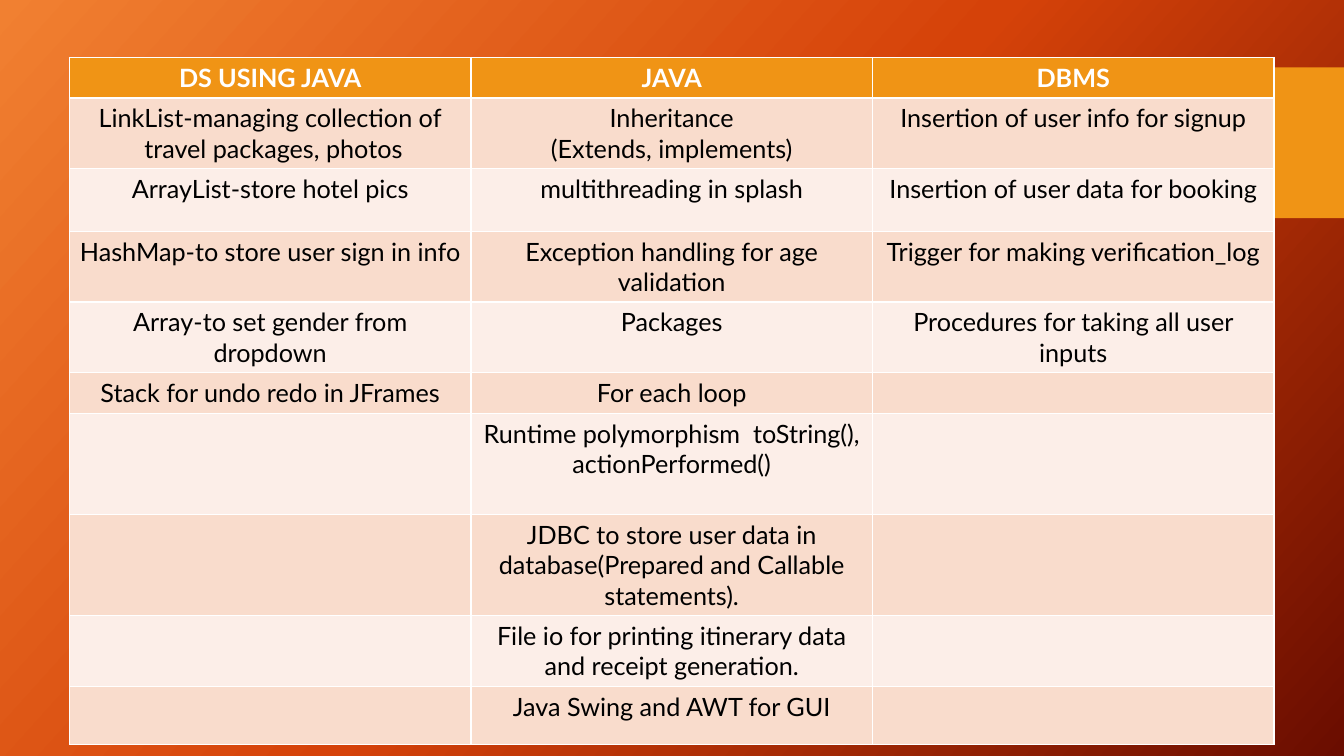
"""Builds a slide with a table of the concepts used per subject."""
import copy

import pptx
import pptx.dml.color
import pptx.enum.text
import pptx.oxml
import pptx.oxml.ns
import pptx.util
import pptx.enum.shapes

Cm = pptx.util.Cm
Pt = pptx.util.Pt
RGBColor = pptx.dml.color.RGBColor
qn = pptx.oxml.ns.qn

ORANGE = RGBColor(0xF0, 0x94, 0x15)
PEACH = RGBColor(0xF9, 0xDC, 0xCC)
CREAM = RGBColor(0xFC, 0xEE, 0xE8)
WHITE = RGBColor(0xFF, 0xFF, 0xFF)
BLACK = RGBColor(0x00, 0x00, 0x00)
BACKGROUND = [
    (0, RGBColor(0xF1, 0x80, 0x31)),
    (0.5, RGBColor(0xD5, 0x42, 0x09)),
    (1, RGBColor(0x6A, 0x0D, 0x00)),
]

HEADER_FONT = {"name": "Lato", "size": Pt(18), "bold": True}
BODY_FONT = {"name": "Lato", "size": Pt(18), "bold": False}

COL_WIDTH = Cm(10.12)
ROWS = [
    (1.02, ["DS USING JAVA", "JAVA", "DBMS"]),
    (1.78, ["LinkList-managing collection of\n travel packages, photos",
            "Inheritance\n(Extends, implements)",
            "Insertion of user info for signup"]),
    (1.58, ["ArrayList-store hotel pics",
            "multithreading in splash",
            "Insertion of user data for booking"]),
    (1.78, ["HashMap-to store user sign in info",
            "Exception handling for age validation",
            "Trigger for making verification_log"]),
    (1.78, ["Array-to set gender from dropdown",
            "Packages",
            "Procedures for taking all user inputs"]),
    (1.02, ["Stack for undo redo in JFrames", "For each loop", ""]),
    (2.55, ["", "Runtime polymorphism  toString(), actionPerformed()", ""]),
    (2.55, ["", "JDBC to store user data in database(Prepared and Callable statements).", ""]),
    (1.78, ["", "File io for printing itinerary data and receipt generation.", ""]),
    (1.47, ["", "Java Swing and AWT for GUI", ""]),
]


def add_borders(cell):
    """Draws thin white lines on all four sides of a cell."""
    tcPr = cell._tc.get_or_add_tcPr()
    for side in ("lnL", "lnR", "lnT", "lnB"):
        tcPr.append(pptx.oxml.parse_xml(
            f'<a:{side} {pptx.oxml.ns.nsdecls("a")} w="{Pt(1)}"><a:solidFill>'
            f'<a:srgbClr val="{WHITE}"/></a:solidFill></a:{side}>'))


prs = pptx.Presentation()
prs.slide_width = Cm(33.87)
prs.slide_height = Cm(19.05)
s = prs.slides.add_slide(prs.slide_layouts[6])

fill = s.background.fill
fill.gradient()
fill.gradient_angle = 318
stops = s._element.find(".//" + qn("a:gsLst"))
stops.append(copy.deepcopy(stops[0]))
for stop, (position, color) in zip(fill.gradient_stops, BACKGROUND):
    stop.position = position
    stop.color.rgb = color

sp = s.shapes.add_shape(pptx.enum.shapes.MSO_SHAPE.RECTANGLE,
                        Cm(29.42), Cm(1.7), Cm(4.45), Cm(3.8))
sp.shadow.inherit = False
sp.fill.solid()
sp.fill.fore_color.rgb = ORANGE
sp.line.fill.background()

table = s.shapes.add_table(len(ROWS), 3, Cm(1.75), Cm(1.45),
                           3 * COL_WIDTH, Cm(17.31)).table
for column in table.columns:
    column.width = COL_WIDTH

for i, (height, texts) in enumerate(ROWS):
    table.rows[i].height = Cm(height)
    row_fill = ORANGE if i == 0 else (CREAM, PEACH)[i % 2]
    for j, text in enumerate(texts):
        cell = table.cell(i, j)
        add_borders(cell)
        cell.fill.solid()
        cell.fill.fore_color.rgb = row_fill
        tf = cell.text_frame
        tf.text = text
        for p in tf.paragraphs:
            p.alignment = pptx.enum.text.PP_ALIGN.CENTER
            for r in p.runs:
                for name, value in (BODY_FONT if i else HEADER_FONT).items():
                    setattr(r.font, name, value)
                r.font.color.rgb = BLACK if i else WHITE

prs.save("out.pptx")
